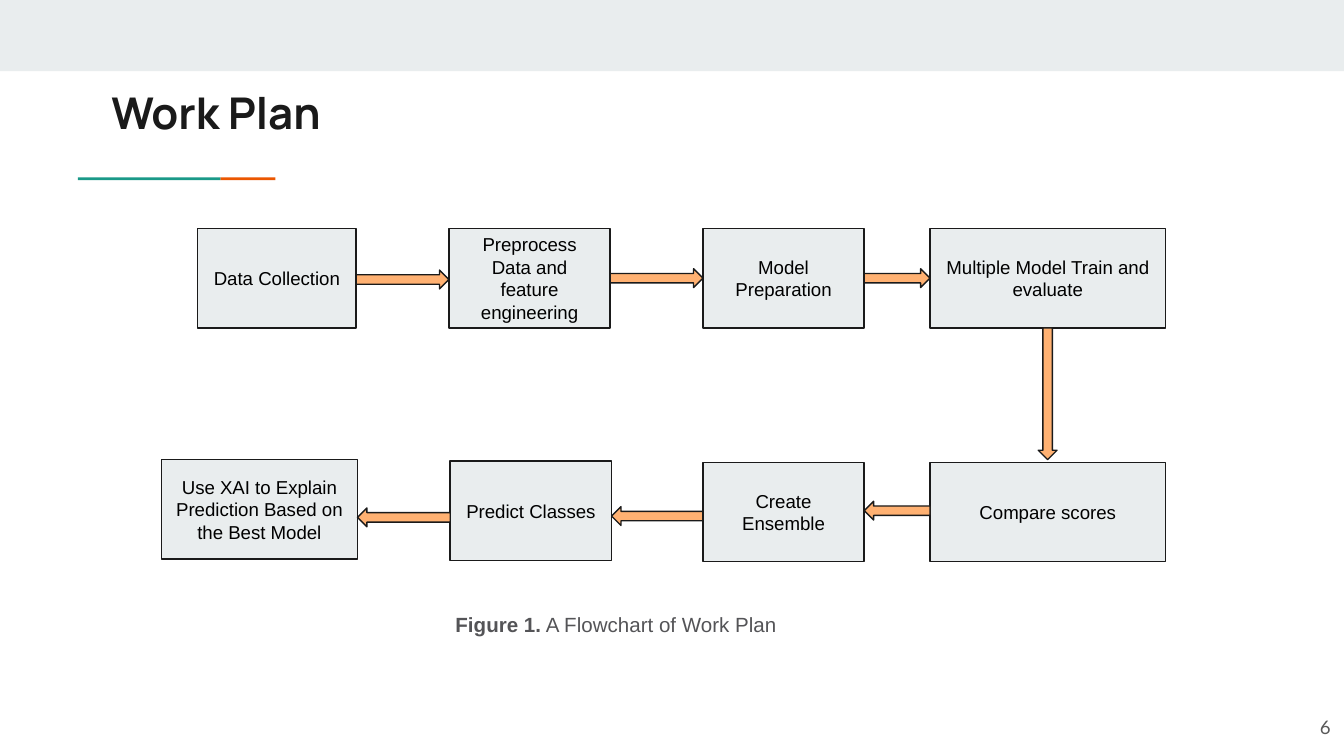
from pptx import Presentation
from pptx.dml.color import RGBColor
from pptx.enum.shapes import MSO_SHAPE
from pptx.enum.text import MSO_ANCHOR, PP_ALIGN
from pptx.util import Inches, Pt

RECT, RIGHT, LEFT = MSO_SHAPE.RECTANGLE, MSO_SHAPE.RIGHT_ARROW, MSO_SHAPE.LEFT_ARROW
TOP, MIDDLE = MSO_ANCHOR.TOP, MSO_ANCHOR.MIDDLE
AL_LEFT, AL_CENTER, AL_RIGHT = PP_ALIGN.LEFT, PP_ALIGN.CENTER, PP_ALIGN.RIGHT

# Content
TITLE = "Work Plan"
CAPTION = ("Figure 1.", " A Flowchart of Work Plan")
PAGE = "6"
# Each step: label, column left, column width, row top
FORWARD = [
    ("Data Collection", 1.47, 1.18, 1.7),
    ("Preprocess Data and feature engineering", 3.34, 1.2, 1.7),
    ("Model Preparation", 5.23, 1.2, 1.7),
    ("Multiple Model Train and evaluate", 6.92, 1.75, 1.7),
]
BACKWARD = [
    ("Use XAI to Explain Prediction Based on the Best Model", 1.2, 1.46, 3.42),
    ("Predict Classes", 3.35, 1.2, 3.43),
    ("Create Ensemble", 5.23, 1.2, 3.44),
    ("Compare scores", 6.92, 1.75, 3.44),
]
# Each row of steps: steps, arrow kind, centre height of each arrow
ROWS = [
    (FORWARD, RIGHT, (2.08, 2.07, 2.07)),
    (BACKWARD, LEFT, (3.85, 3.84, 3.8)),
]

# Theme and layout
W = 10
H = W * 9 / 16
BOX_H, ARROW_H, INSET = 0.74, 0.14, 0.1
THEME = {
    "panel": "E9EDEE", "ink": "1A1A1A", "arrow": "FFB172",
    "teal": "1A9988", "orange": "EB5600", "line": 0.75,
    "title": {"name": "Manrope", "size": 23.4, "color": "1A1A1A", "bold": True},
    "step": {"name": "Arial", "size": 10, "color": "000000", "bold": False},
    "caption": {"name": "Arial", "size": 11, "color": "545457", "bold": False},
    "page": {"name": "Lato", "size": 10, "color": "595959", "bold": False},
}

prs = Presentation()
prs.slide_width, prs.slide_height = Inches(W), Inches(H)
s = prs.slides.add_slide(prs.slide_layouts[6])


def add_shape(kind, x, y, w, h, fill, outlined=True):
    sp = s.shapes.add_shape(kind, *map(Inches, (x, y, w, h)))
    sp.shadow.inherit = False
    sp.fill.solid()
    sp.fill.fore_color.rgb = RGBColor.from_string(THEME[fill])
    if outlined:
        sp.line.color.rgb = RGBColor.from_string(THEME["ink"])
        sp.line.width = Pt(THEME["line"])
    else:
        sp.line.fill.background()
    return sp


def write(sp, runs, style, align=AL_LEFT, anchor=TOP):
    tf = sp.text_frame
    frame = {"word_wrap": True, "vertical_anchor": anchor}
    frame.update({f"margin_{side}": Inches(INSET)
                  for side in ("left", "top", "right", "bottom")})
    for name, value in frame.items():
        setattr(tf, name, value)
    p = tf.paragraphs[0]
    p.alignment = align
    for text, changes in runs:
        fmt = {**THEME[style], **changes}
        r = p.add_run()
        r.text = text
        r.font.color.rgb = RGBColor.from_string(fmt.pop("color"))
        fmt["size"] = Pt(fmt["size"])
        for name, value in fmt.items():
            setattr(r.font, name, value)


def add_text(x, y, w, h, runs, style, **layout):
    write(s.shapes.add_textbox(*map(Inches, (x, y, w, h))), runs, style, **layout)


# Top band and two-colour rule
add_shape(RECT, 0, 0, W, 0.53, "panel", outlined=False)
add_shape(RECT, 1.64, 1.32, 0.41, 0.02, "orange", outlined=False)
add_shape(RECT, 0.58, 1.32, 1.06, 0.02, "teal", outlined=False)

# Title
add_text(0.73, 0.54, 8.41, 0.59, [(TITLE, {})], "title")

# Steps, then the arrows that span the gaps between them
for steps, kind, centres in ROWS:
    for label, x, w, y in steps:
        box = add_shape(RECT, x, y, w, BOX_H, "panel")
        write(box, [(label, {})], "step", align=AL_CENTER, anchor=MIDDLE)
    for (_, x, w, _), (_, end, _, _), cy in zip(steps, steps[1:], centres):
        start = x + w
        add_shape(kind, start, cy - ARROW_H / 2, end - start, ARROW_H, "arrow")

# Turn from the first row down to the second
_, x, w, y = FORWARD[-1]
drop_start, drop_end = y + BOX_H, BACKWARD[-1][3] - 0.02
length = drop_end - drop_start
cx, cy = x + w / 2, (drop_start + drop_end) / 2
turn = add_shape(RIGHT, cx - length / 2, cy - ARROW_H / 2, length, ARROW_H, "arrow")
turn.rotation = 90

# Caption and page number
add_text(3.29, 4.46, 3.28, 0.39,
         [(CAPTION[0], {"bold": True}), (CAPTION[1], {})], "caption")
add_text(W - 0.6, H - 0.43, 0.6, 0.43, [(PAGE, {})], "page",
         align=AL_RIGHT, anchor=MIDDLE)

prs.save("out.pptx")
